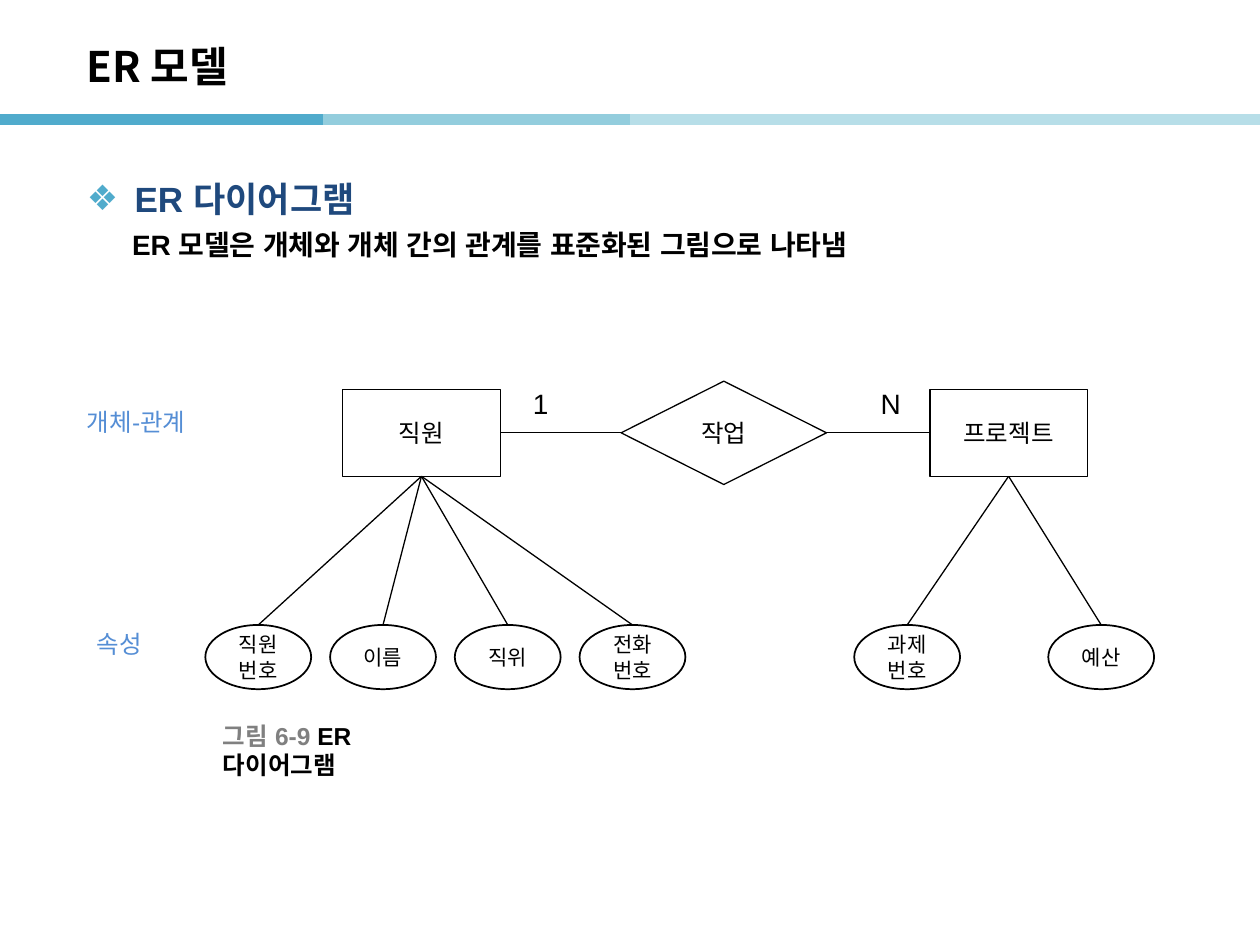
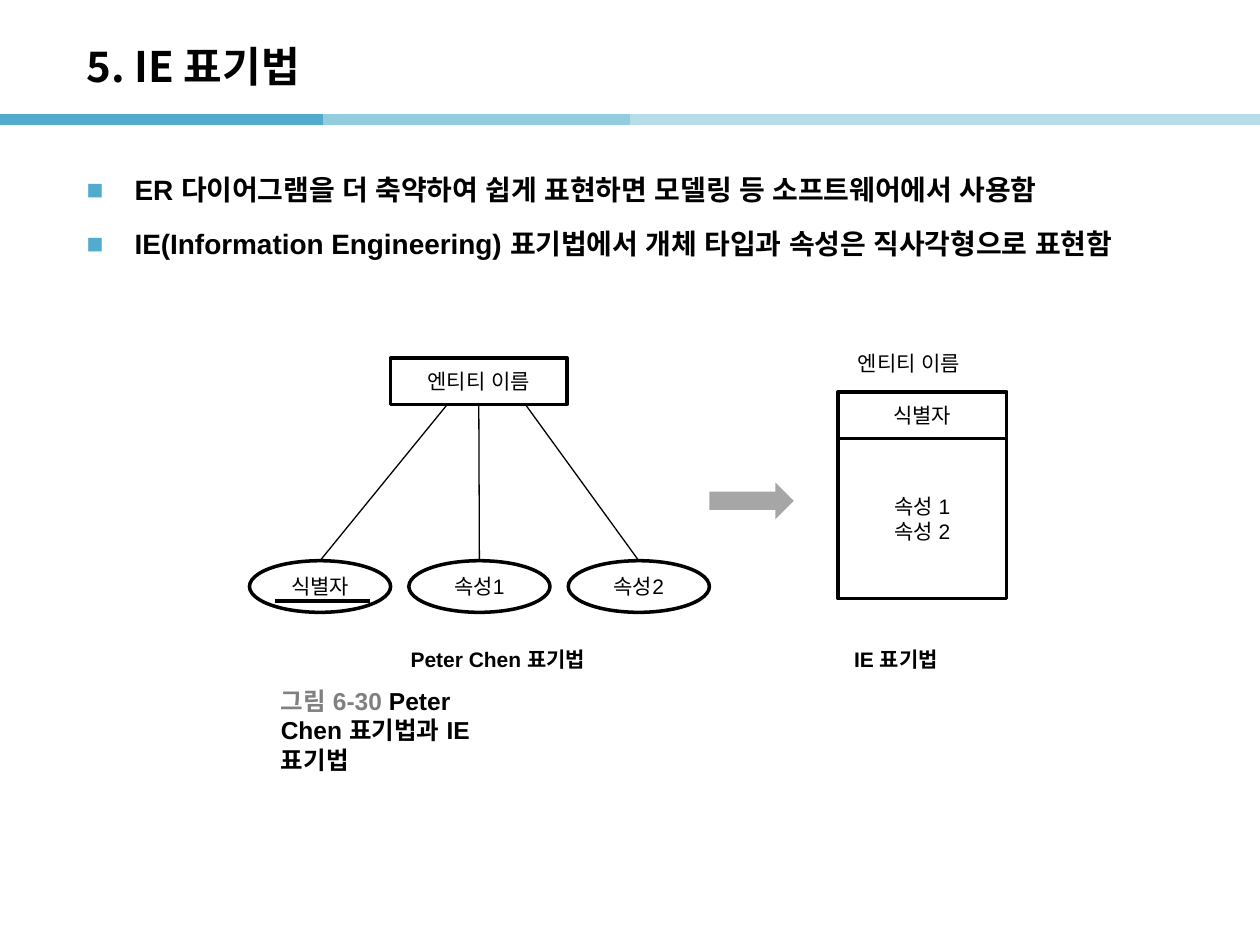
"""Build two slides on ER diagrams and IE notation."""
from lxml import etree
from pptx import Presentation
from pptx import util as u
from pptx.dml.color import RGBColor
from pptx.enum import shapes, text
from pptx.oxml.ns import qn

WIDTH, HEIGHT = u.Inches(10), u.Inches(7.5)
COL, ROW = WIDTH / 100, HEIGHT / 75
BLACK = RGBColor(0x00, 0x00, 0x00)
WHITE = RGBColor(0xFF, 0xFF, 0xFF)
NAVY = RGBColor(0x1F, 0x49, 0x7D)
BLUE = RGBColor(0x55, 0x8E, 0xD5)
GREY = RGBColor(0x80, 0x80, 0x80)
SILVER = RGBColor(0xA6, 0xA6, 0xA6)
TEAL = RGBColor(0x50, 0xAB, 0xCC)
AQUA = RGBColor(0x93, 0xCD, 0xDD)
PALE = RGBColor(0xB7, 0xDE, 0xE8)
SANS, HEAD = "Arial", "Noto Sans CJK KR"
RECT, OVAL = shapes.MSO_SHAPE.RECTANGLE, shapes.MSO_SHAPE.OVAL
RHOMB, ARROW = shapes.MSO_SHAPE.DIAMOND, shapes.MSO_SHAPE.RIGHT_ARROW
LEFT, MID, JUST = text.PP_ALIGN.LEFT, text.PP_ALIGN.CENTER, text.PP_ALIGN.JUSTIFY
TOP, CENTER = text.MSO_ANCHOR.TOP, text.MSO_ANCHOR.MIDDLE


def grid(x, y, *size):
    """Turn columns and rows into slide lengths."""
    return [round(n * unit) for n, unit in zip((x, y, *size), (COL, ROW) * 2)]


def mark(para, sign):
    """Give a paragraph a hanging bullet."""
    props = para._p.get_or_add_pPr()
    props.set("marL", str(u.Inches(0.38)))
    props.set("indent", str(-u.Inches(0.38)))
    color = etree.SubElement(props, qn("a:buClr"))
    etree.SubElement(color, qn("a:srgbClr"), val=str(TEAL))
    etree.SubElement(props, qn("a:buFont"), typeface=SANS)
    etree.SubElement(props, qn("a:buChar"), char=sign)


def write(frame, words, size=14, color=BLACK, bold=False, face=SANS, align=LEFT,
          sign=None, indent=0, space=None, before=None):
    """Add a paragraph; words is a string or a list of (string, colour)."""
    first = not frame.paragraphs[0].runs
    para = frame.paragraphs[0] if first else frame.add_paragraph()
    if sign:
        mark(para, sign)
    elif indent:
        para._p.get_or_add_pPr().set("marL", str(u.Inches(indent)))
    para.alignment = align
    if space:
        para.line_spacing = space
    if before:
        para.space_before = u.Pt(before)
    for part, tint in [(words, color)] if isinstance(words, str) else words:
        run = para.add_run()
        run.text = part
        font = run.font
        font.size, font.bold, font.name = u.Pt(size), bold, face
        font.color.rgb = tint
        etree.SubElement(run._r.get_or_add_rPr(), qn("a:ea"), typeface=face)


def label(slide, at, words=None, wrap=True, anchor=TOP, **form):
    """Add a text box and return its frame."""
    frame = slide.shapes.add_textbox(*grid(*at)).text_frame
    frame.word_wrap, frame.vertical_anchor = wrap, anchor
    if words:
        write(frame, words, **form)
    return frame


def node(slide, kind, at, *lines, size=12, width=1.0, fill=None):
    """Add an outlined shape with centred lines of text."""
    shape = slide.shapes.add_shape(kind, *grid(*at))
    shape.shadow.inherit = False
    if fill is None:
        shape.fill.background()
    else:
        shape.fill.solid()
        shape.fill.fore_color.rgb = fill
    if width:
        shape.line.color.rgb, shape.line.width = BLACK, u.Pt(width)
    else:
        shape.line.fill.background()
    shape.text_frame.word_wrap = True
    shape.text_frame.vertical_anchor = CENTER
    for line in lines:
        write(shape.text_frame, line, size=size, align=MID)
    return shape


def rule(slide, start=(0, 0), end=(0, 0), color=BLACK, width=0.75):
    """Draw a line; an end is a grid point or a (shape, side) pair."""
    points = [(0, 0) if hasattr(p[0], "shape_id") else grid(*p) for p in (start, end)]
    line = slide.shapes.add_connector(
        shapes.MSO_CONNECTOR.STRAIGHT, *points[0], *points[1])
    line.line.color.rgb, line.line.width = color, u.Pt(width)
    etree.SubElement(line._element.spPr, qn("a:effectLst"))
    if hasattr(start[0], "shape_id"):
        line.begin_connect(*start)
    if hasattr(end[0], "shape_id"):
        line.end_connect(*end)


def page(deck, title):
    """Add a slide with the shared band and title."""
    slide = deck.slides.add_slide(deck.slide_layouts[6])
    for left, right, tint in ((0, 25.6, TEAL), (25.6, 50, AQUA), (50, 100, PALE)):
        rule(slide, (left, 9.5), (right, 9.5), tint, 6)
    label(slide, (5.9, 2.2, 82.7, 6), title, anchor=CENTER, size=24, bold=True, face=HEAD)
    return slide


def note(slide, x, y, number, words):
    """Add a figure caption with a grey number."""
    label(slide, (x, y, 20.5, 3.1), [(f"그림 {number} ", GREY), (words, BLACK)],
          wrap=False, anchor=CENTER, bold=True)


def traits(slide, owner, left, step, names):
    """Add a row of attributes joined to their entity."""
    for i, name in enumerate(names):
        oval = node(slide, OVAL, (left + i * step, 49.6, 8.4, 5.1), name)
        rule(slide, (owner, 2), (oval, 0))


def model(deck):
    """Build the ER diagram slide."""
    slide = page(deck, "ER 모델")
    body = label(slide, (5.9, 11.9, 88.2, 59.8))
    write(body, "ER 다이어그램", size=20, color=NAVY, bold=True, sign="❖", space=1.5)
    write(body, "ER 모델은 개체와 개체 간의 관계를 표준화된 그림으로 나타냄",
          size=16, bold=True, indent=0.36, before=5)
    staff, project = [node(slide, RECT, (x, 30.9, 12.5, 6.9), name, size=14, width=0.75)
                      for x, name in ((27.2, "직원"), (73.8, "프로젝트"))]
    work = node(slide, RHOMB, (49.3, 30.25, 16.3, 8.2), "작업", size=14, width=0.75)
    rule(slide, (staff, 3), (work, 1))
    rule(slide, (work, 3), (project, 1))
    traits(slide, staff, 16.3, 9.9, ("직원번호", "이름", "직위", "전화번호"))
    traits(slide, project, 67.8, 15.4, ("과제번호", "예산"))
    for x, count in ((41.3, "1"), (68.9, "N")):
        label(slide, (x, 30.2, 3.5, 3.7), count, wrap=False, size=16)
    label(slide, (5.9, 31.8, 12.2, 3.4), "개체-관계", color=BLUE)
    label(slide, (6.7, 49.4, 5.9, 3.4), "속성", wrap=False, color=BLUE)
    note(slide, 16.7, 58, "6-9", "ER 다이어그램")


def notation(deck):
    """Build the slide that sets two notations side by side."""
    slide = page(deck, "5. IE 표기법")
    body = label(slide, (5.9, 11.9, 89, 59.8))
    for i, words in enumerate((
            "ER 다이어그램을 더 축약하여 쉽게 표현하면 모델링 등 소프트웨어에서 사용함",
            "IE(Information Engineering) 표기법에서 개체 타입과 속성은 직사각형으로 표현함")):
        write(body, words, size=16, bold=True, sign="■", space=1.5, align=JUST,
              before=2 * i)
    node(slide, RECT, (66.5, 31.1, 13.4, 3.7), "식별자", width=2)
    node(slide, RECT, (66.5, 34.8, 13.4, 12.7), "속성 1", "속성 2", width=2)
    label(slide, (67.1, 27.3, 11, 3), "엔티티 이름", wrap=False, size=12)
    entity = node(slide, RECT, (31, 28.4, 14, 3.7), "엔티티 이름", width=2, fill=WHITE)
    starts = (35.5, 32.1), (entity, 2), (41.7, 32.1)
    for i, (start, name) in enumerate(zip(starts, ("식별자", "속성1", "속성2"))):
        oval = node(slide, OVAL, (19.8 + i * 12.65, 44.5, 11.2, 4.1), name,
                    width=2, fill=WHITE)
        rule(slide, start, (oval, 0))
    rule(slide, (21.8, 47.7), (29.4, 47.7), width=2)
    node(slide, ARROW, (56.3, 38.3, 6.7, 2.9), width=0, fill=SILVER)
    for x, wide, name in ((31.6, 20.2, "Peter Chen 표기법"), (66.8, 13.1, "IE 표기법")):
        label(slide, (x, 50.8, wide, 3), name, size=12, bold=True)
    note(slide, 21.3, 56.4, "6-30", "Peter Chen 표기법과 IE 표기법")


def main():
    """Build and save the deck."""
    deck = Presentation()
    deck.slide_width, deck.slide_height = WIDTH, HEIGHT
    model(deck)
    notation(deck)
    deck.save("out.pptx")


if __name__ == "__main__":
    main()
